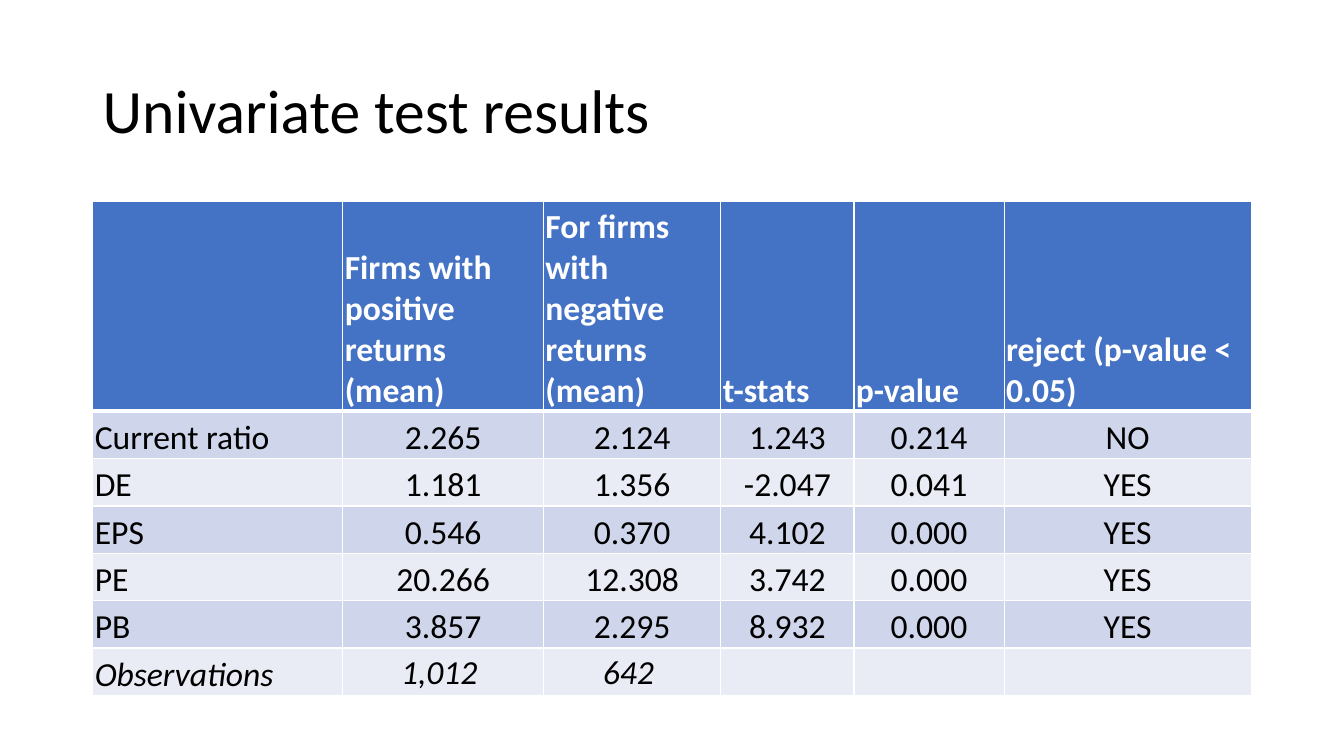
from dataclasses import dataclass

import lxml.etree
import pptx
import pptx.dml.color
import pptx.enum.text
import pptx.oxml.ns
import pptx.util

TITLE = "Univariate test results"
HEADINGS = ("", "Firms with positive returns (mean)", "For firms with negative returns (mean)",
            "t-stats", "p-value", "reject (p-value < 0.05)")
RATIOS = [
    ("Current ratio", "2.265", "2.124", "1.243", "0.214", "NO"),
    ("DE", "1.181", "1.356", "-2.047", "0.041", "YES"),
    ("EPS", "0.546", "0.370", "4.102", "0.000", "YES"),
    ("PE", "20.266", "12.308", "3.742", "0.000", "YES"),
    ("PB", "3.857", "2.295", "8.932", "0.000", "YES"),
]
OBSERVATIONS = ("Observations", "1,012 ", "642 ", "", "", "")
RESULTS = [HEADINGS, *RATIOS, OBSERVATIONS]

# Inches
SLIDE_WIDTH, SLIDE_HEIGHT = 13.33, 7.5
MARGIN = 0.92
CONTENT_WIDTH = SLIDE_WIDTH - 2 * MARGIN
TITLE_TOP, TITLE_HEIGHT = 0.4, 1.45
TABLE_TOP = 2
COLUMN_WIDTHS = (2.48, 1.99, 1.76, 1.32, 1.49, 2.45)
HEADING_HEIGHT, ROW_HEIGHT = 2.08, 0.47
CELL_INSET = 0.02


@dataclass(frozen=True)
class Theme:
    font: str = "Calibri"
    title_size: int = 44
    table_size: int = 24
    text: str = "000000"
    heading_text: str = "FFFFFF"
    heading_fill: str = "4472C4"
    bands: tuple = ("CFD5EA", "E9EBF5")
    rule: str = "FFFFFF"
    thin: int = 1
    thick: int = 3


THEME = Theme()
Inches = pptx.util.Inches
Anchor = pptx.enum.text.MSO_ANCHOR


def add_run(paragraph, text, size, color, bold=False, italic=False):
    run = paragraph.add_run()
    run.text = text
    run.font.name = THEME.font
    run.font.size = pptx.util.Pt(size)
    run.font.bold = bold
    run.font.italic = italic
    run.font.color.rgb = pptx.dml.color.RGBColor.from_string(color)


def add_borders(cell, top, bottom):
    """Rule all four sides; top and bottom are widths in points."""
    qn = pptx.oxml.ns.qn
    properties = cell._tc.get_or_add_tcPr()
    for side, width in (("L", THEME.thin), ("R", THEME.thin), ("T", top), ("B", bottom)):
        line = lxml.etree.SubElement(properties, qn(f"a:ln{side}"), w=str(pptx.util.Pt(width)))
        fill = lxml.etree.SubElement(line, qn("a:solidFill"))
        lxml.etree.SubElement(fill, qn("a:srgbClr"), val=THEME.rule)


def fill_cell(cell, text, row, column):
    is_heading = row == 0
    is_observations = row == len(RESULTS) - 1
    add_borders(cell,
                top=THEME.thick if row == 1 else THEME.thin,
                bottom=THEME.thick if is_heading else THEME.thin)
    color = THEME.heading_fill if is_heading else THEME.bands[(row - 1) % 2]
    cell.fill.solid()
    cell.fill.fore_color.rgb = pptx.dml.color.RGBColor.from_string(color)
    if not text:
        return
    cell.margin_left = cell.margin_right = cell.margin_top = Inches(CELL_INSET)
    cell.margin_bottom = 0
    cell.vertical_anchor = Anchor.MIDDLE if is_observations and column else Anchor.BOTTOM
    paragraph = cell.text_frame.paragraphs[0]
    if column and not is_heading:
        paragraph.alignment = pptx.enum.text.PP_ALIGN.CENTER
    add_run(paragraph, text, THEME.table_size,
            THEME.heading_text if is_heading else THEME.text,
            bold=is_heading, italic=is_observations)


def add_title(slide):
    frame = slide.shapes.add_textbox(Inches(MARGIN), Inches(TITLE_TOP),
                                     Inches(CONTENT_WIDTH), Inches(TITLE_HEIGHT)).text_frame
    frame.word_wrap = True
    frame.vertical_anchor = Anchor.MIDDLE
    frame.paragraphs[0].line_spacing = 0.9
    add_run(frame.paragraphs[0], TITLE, THEME.title_size, THEME.text)


def add_results(slide):
    row_heights = [HEADING_HEIGHT] + [ROW_HEIGHT] * (len(RESULTS) - 1)
    table = slide.shapes.add_table(
        len(RESULTS), len(HEADINGS), Inches(MARGIN), Inches(TABLE_TOP),
        Inches(sum(COLUMN_WIDTHS)), Inches(sum(row_heights))).table
    for column, width in zip(table.columns, COLUMN_WIDTHS):
        column.width = Inches(width)
    for row, height in zip(table.rows, row_heights):
        row.height = Inches(height)
    for row, values in enumerate(RESULTS):
        for column, text in enumerate(values):
            fill_cell(table.cell(row, column), text, row, column)


def main():
    deck = pptx.Presentation()
    deck.slide_width, deck.slide_height = Inches(SLIDE_WIDTH), Inches(SLIDE_HEIGHT)
    slide = deck.slides.add_slide(deck.slide_layouts[6])
    add_title(slide)
    add_results(slide)
    deck.save("out.pptx")


if __name__ == "__main__":
    main()
